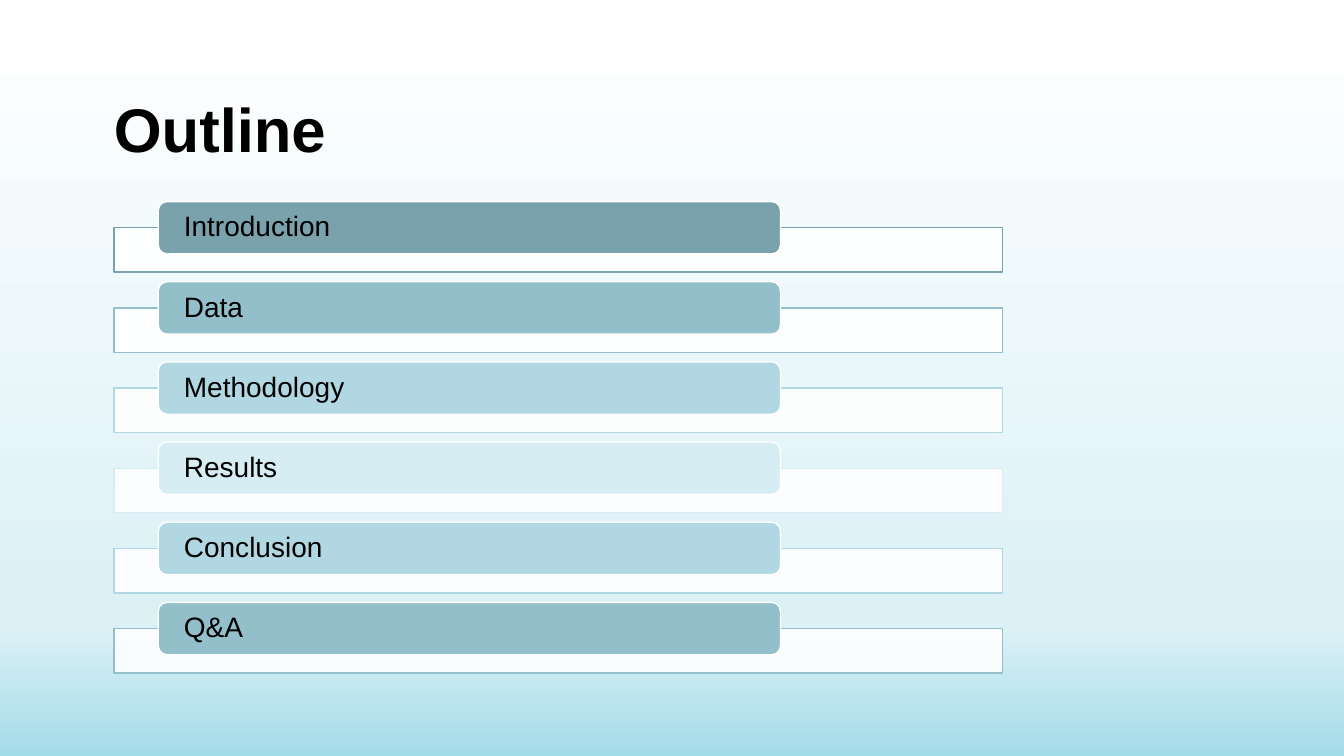
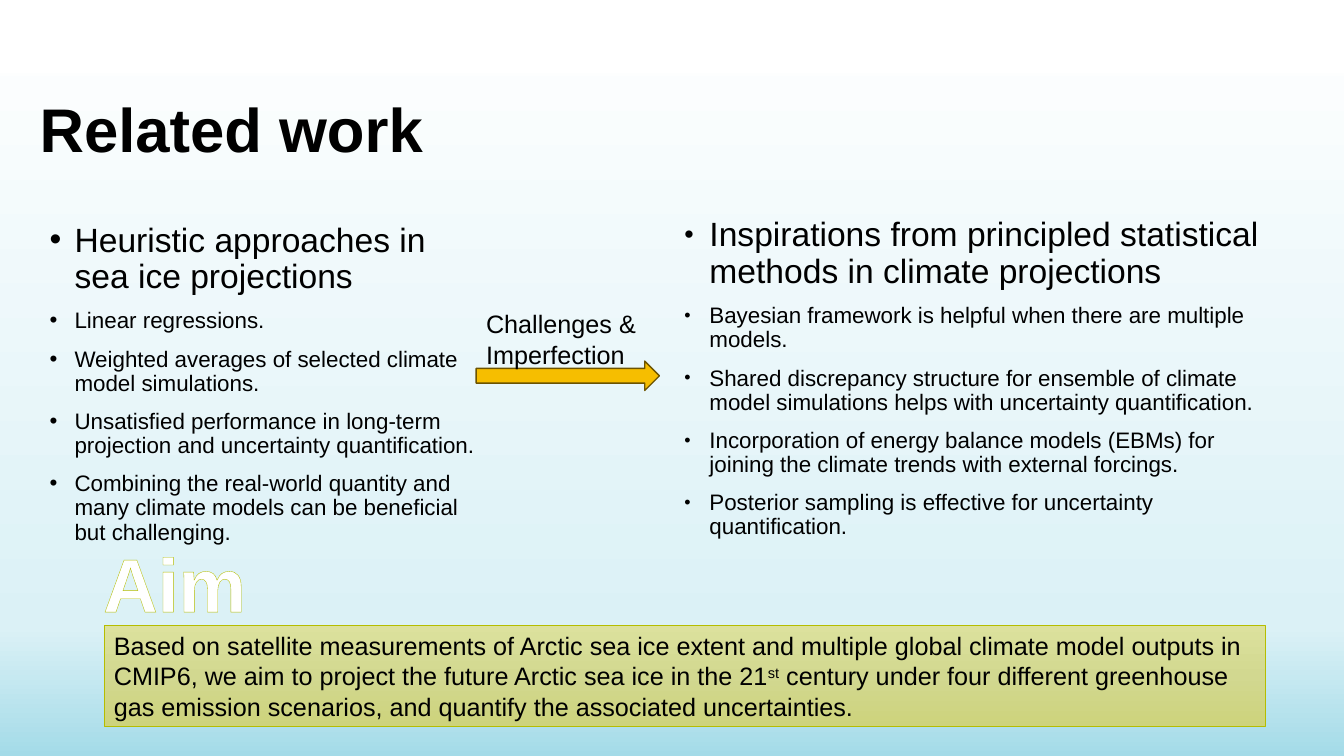
from dataclasses import dataclass

from lxml import etree
from pptx import Presentation
from pptx.dml.color import RGBColor
from pptx.enum.shapes import MSO_SHAPE as Shape
from pptx.enum.text import MSO_ANCHOR as Anchor, MSO_AUTO_SIZE as AutoSize, PP_ALIGN as Align
from pptx.oxml.ns import qn
from pptx.util import Cm, Pt


@dataclass(frozen=True)
class Theme:
    font: str = "Arial"
    ink: str = "000000"
    white: str = "FFFFFF"
    teals: tuple = ("79A2AC", "92BFCA", "B1D8E2", "D6EDF3", "B1D8E2", "92BFCA")
    sky: tuple = ((1, "FFFFFF"), (83, "DBF1F6"), (100, "A4DBE8"))
    arrow: str = "F6BE00"
    arrow_edge: str = "6C5300"
    olive: str = "B5BD00"
    olive_fade: tuple = ((0, "DCE19D"), (50, "D2D890"), (100, "CDD37C"))
    title: int = 44
    aim: int = 54
    heading: int = 24
    item: int = 20
    body: int = 18
    detail: int = 16


THEME = Theme()
WIDTH, HEIGHT = 33.87, 19.05

# Content
OUTLINE = ["Introduction", "Data", "Methodology", "Results", "Conclusion", "Q&A"]
HEURISTIC = [
    "Heuristic approaches in sea ice projections",
    "Linear regressions.",
    "Weighted averages of selected climate model simulations.",
    "Unsatisfied performance in long-term projection and uncertainty quantification.",
    "Combining the real-world quantity and many climate models can be beneficial but challenging.",
]
STATISTICAL = [
    "Inspirations from principled statistical methods in climate projections",
    "Bayesian framework is helpful when there are multiple models.",
    "Shared discrepancy structure for ensemble of climate model simulations helps with "
    "uncertainty quantification.",
    "Incorporation of energy balance models (EBMs) for joining the climate trends with "
    "external forcings.",
    "Posterior sampling is effective for uncertainty quantification.",
]
AIM = [
    ("Based on satellite measurements of Arctic sea ice extent and multiple global climate "
     "model outputs in CMIP6, we aim to project the future Arctic sea ice in the 21", False),
    ("st", True),
    (" century under four different greenhouse gas emission scenarios, and quantify the "
     "associated uncertainties.", False),
]


def rgb(color):
    return RGBColor.from_string(color)


def child(parent, tag, **attributes):
    return etree.SubElement(parent, qn(tag), attributes)


def fade(fill, properties, stops):
    """Fill a shape or background from top to bottom through the stops."""
    fill.gradient()
    gradient = properties.find(qn("a:gradFill"))
    for part in list(gradient):
        gradient.remove(part)
    stop_list = child(gradient, "a:gsLst")
    for percent, color in stops:
        stop = child(stop_list, "a:gs", pos=str(percent * 1000))
        child(stop, "a:srgbClr", val=color)
    child(gradient, "a:lin", ang="5400000", scaled="0")


def add_bullet(para, size):
    properties = para._p.get_or_add_pPr()
    indent = Cm(0.63)
    properties.set("marL", str(indent))
    properties.set("indent", str(-indent))
    child(properties, "a:buSzPct", val=str(size * 1000))
    child(properties, "a:buFont", typeface=THEME.font)
    child(properties, "a:buChar", char="•")


def write(para, text, size, color=THEME.ink, bold=False, align=Align.LEFT,
          spacing=None, before=0, bullet=None, outline=None):
    """Write a string, or (text, raised) pairs, into one paragraph."""
    para.alignment = align
    para.space_before = Pt(before)
    if spacing:
        para.line_spacing = spacing
    if bullet:
        add_bullet(para, bullet)
    for words, raised in [(text, False)] if isinstance(text, str) else text:
        span = para.add_run()
        span.text = words
        span.font.name, span.font.size, span.font.bold = THEME.font, Pt(size), bold
        span.font.color.rgb = rgb(color)
        properties = span._r.get_or_add_rPr()
        if raised:
            properties.set("baseline", "30000")
        if outline:
            line = etree.Element(qn("a:ln"), w=str(Pt(0.52)))
            child(child(line, "a:solidFill"), "a:srgbClr", val=outline)
            properties.insert(0, line)


def set_frame(box, side=0.25, edge=0.13, anchor=Anchor.TOP):
    frame = box.text_frame
    frame.word_wrap, frame.auto_size = True, AutoSize.NONE
    frame.margin_left = frame.margin_right = Cm(side)
    frame.margin_top = frame.margin_bottom = Cm(edge)
    frame.vertical_anchor = anchor
    return frame


def add_box(page, place, **frame_format):
    box = page.shapes.add_textbox(*map(Cm, place))
    return set_frame(box, **frame_format)


def add_shape(page, kind, place, fill=None, line=None, weight=1.0, opacity=100):
    shape = page.shapes.add_shape(kind, *map(Cm, place))
    shape.shadow.inherit = False
    if fill:
        shape.fill.solid()
        shape.fill.fore_color.rgb = rgb(fill)
        if opacity < 100:
            color = shape.element.spPr.find(qn("a:solidFill"))[0]
            child(color, "a:alpha", val=str(opacity * 1000))
    if line:
        shape.line.color.rgb = rgb(line)
        shape.line.width = Pt(weight)
    else:
        shape.line.fill.background()
    return shape


def add_page(deck, title, left):
    page = deck.slides.add_slide(deck.slide_layouts[5])
    box = page.shapes.title
    box.left, box.top, box.width, box.height = map(Cm, (left, 2.49, 25, 2.18))
    frame = set_frame(box, side=0, edge=0)
    write(frame.paragraphs[0], title, THEME.title, bold=True, spacing=0.9)
    return page


def style_master(deck, page):
    """Give the master the sky background and the white band on top."""
    master = deck.slide_master
    fill = master.background.fill
    fade(fill, master.element.cSld.find(qn("p:bg")).find(qn("p:bgPr")), THEME.sky)
    band = add_shape(page, Shape.RECTANGLE, (0, 0, WIDTH, 1.85), THEME.white).element
    band.nvSpPr.cNvPr.set("id", "99")
    master.shapes.element.insert(2, band)


def add_column(page, place, items, bullet_sizes, **frame_format):
    frame = add_box(page, place, **frame_format)
    for index, text in enumerate(items):
        para = frame.add_paragraph() if index else frame.paragraphs[0]
        write(para, text, THEME.detail if index else THEME.heading, spacing=0.9,
              before=10 if index else 0, bullet=bullet_sizes[min(index, 1)])


def build_outline(deck):
    left, top, width, pitch = 2.87, 5.08, 22.4, 2.02
    page = add_page(deck, "Outline", left)
    style_master(deck, page)
    for index, (label, color) in enumerate(zip(OUTLINE, THEME.teals)):
        y = top + index * pitch
        add_shape(page, Shape.RECTANGLE, (left, y + 0.66, width, 1.12),
                  THEME.white, color, opacity=90)
        tab = add_shape(page, Shape.ROUNDED_RECTANGLE,
                        (left + width * 0.05, y, width * 0.7, 1.32), color, THEME.white)
        frame = set_frame(tab, side=0.58, edge=0, anchor=Anchor.MIDDLE)
        write(frame.paragraphs[0], label, THEME.item, spacing=0.9)


def build_related_work(deck):
    page = add_page(deck, "Related work", 1)

    # Two columns of approaches
    add_column(page, (17.25, 5.49, 14.94, 9.3), STATISTICAL, (80, 80), side=0, edge=0)
    add_column(page, (1, 5.49, 11.5, 8.46), HEURISTIC, (100, 100))

    # Arrow between the columns
    add_shape(page, Shape.RIGHT_ARROW, (12, 9.1, 4.62, 0.74), THEME.arrow, THEME.arrow_edge)
    label = add_box(page, (12, 7.65, 4.62, 1.8))
    write(label.paragraphs[0], "Challenges & Imperfection", THEME.body)

    # Aim panel
    panel = add_shape(page, Shape.RECTANGLE, (2.62, 15.75, 29.26, 2.56),
                      line=THEME.olive, weight=0.5)
    fade(panel.fill, panel.element.spPr, THEME.olive_fade)
    frame = set_frame(panel, anchor=Anchor.MIDDLE)
    write(frame.paragraphs[0], AIM, THEME.body)
    heading = add_box(page, (2, 13.39, 4.8, 2.56))
    write(heading.paragraphs[0], "Aim", THEME.aim, THEME.white, bold=True,
          align=Align.CENTER, outline=THEME.olive)


def main():
    deck = Presentation()
    deck.slide_width, deck.slide_height = Cm(WIDTH), Cm(HEIGHT)
    build_outline(deck)
    build_related_work(deck)
    deck.save("out.pptx")


if __name__ == "__main__":
    main()
